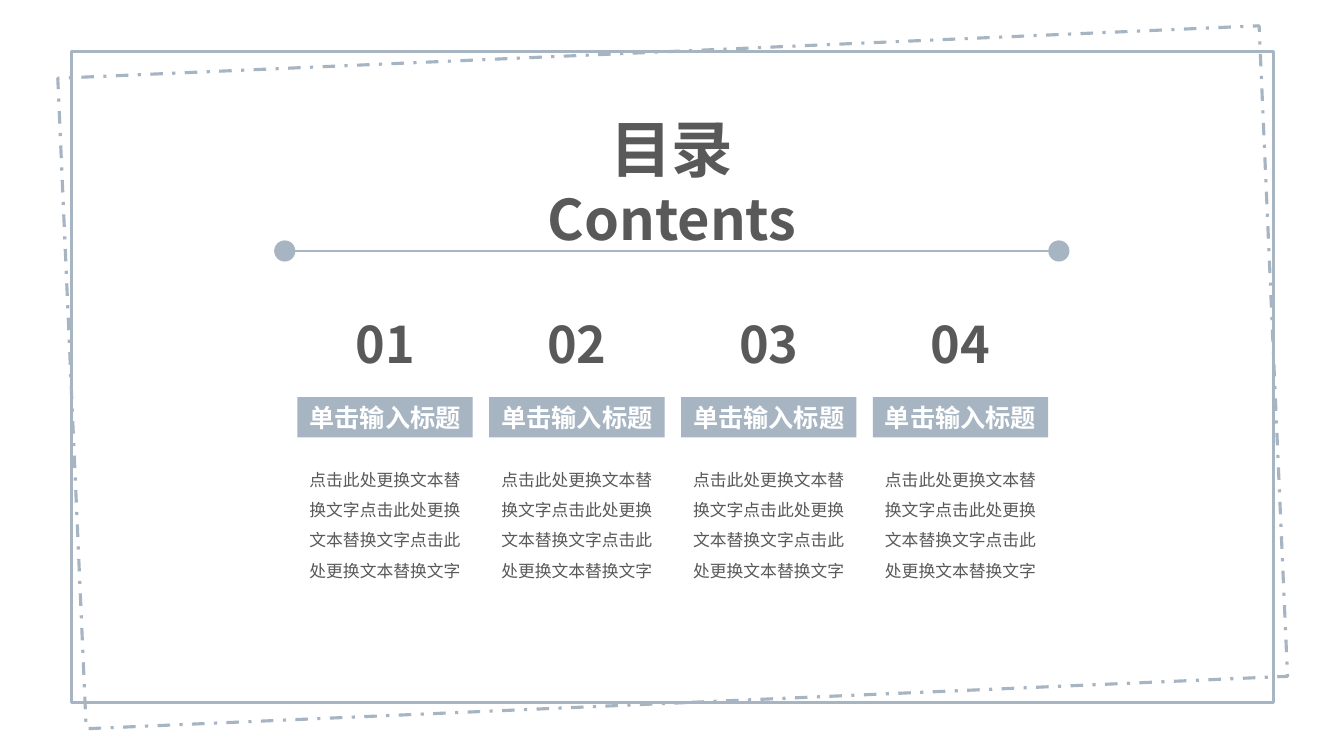
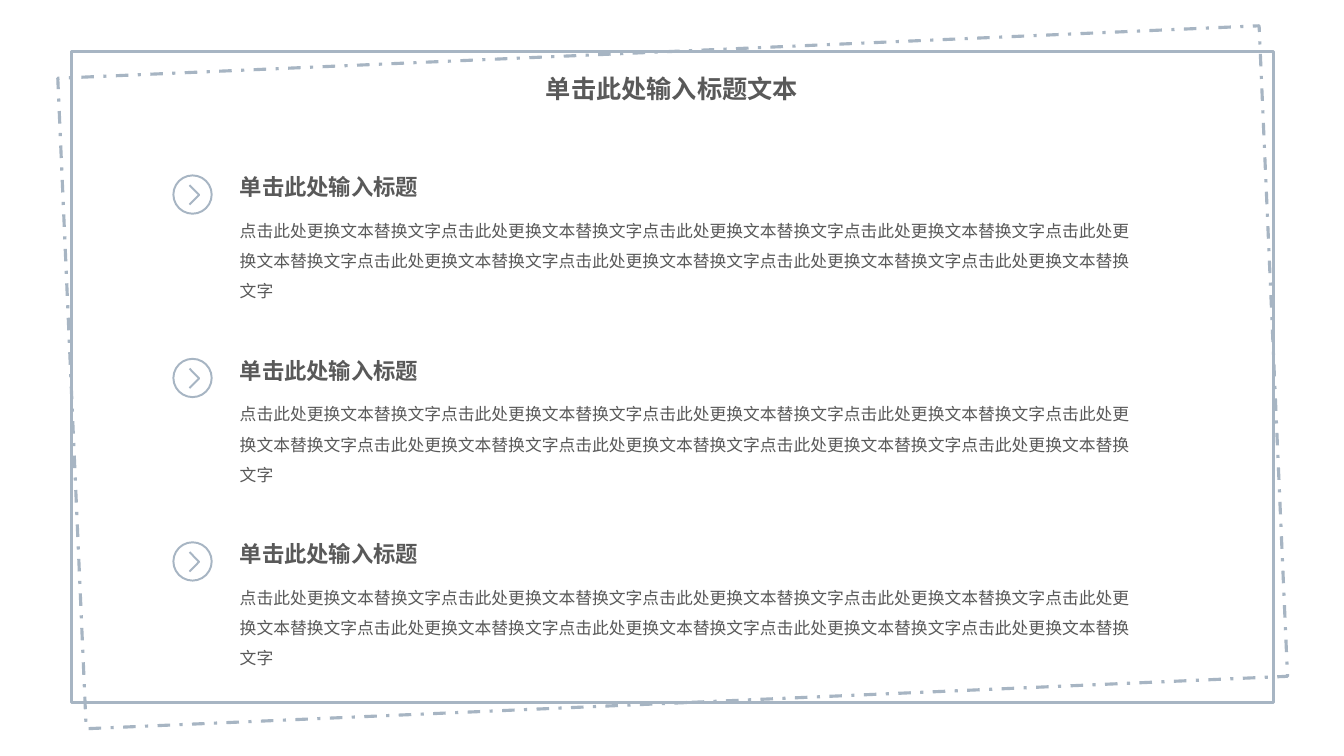
from lxml import etree
from pptx import Presentation
from pptx.dml.color import RGBColor
from pptx.enum.dml import MSO_LINE
from pptx.enum.shapes import MSO_CONNECTOR, MSO_SHAPE
from pptx.enum.text import MSO_ANCHOR, MSO_AUTO_SIZE, PP_ALIGN
from pptx.oxml.ns import qn
from pptx.util import Inches, Pt

RECT, OVAL = MSO_SHAPE.RECTANGLE, MSO_SHAPE.OVAL
STRAIGHT = MSO_CONNECTOR.STRAIGHT
DASH_DOT = MSO_LINE.DASH_DOT
LEFT, CENTER = PP_ALIGN.LEFT, PP_ALIGN.CENTER
TOP, NO_FIT = MSO_ANCHOR.TOP, MSO_AUTO_SIZE.NONE

FONT = "Noto Sans CJK SC"
COLORS = {"accent": "A7B5C3", "text": "595959", "white": "FFFFFF"}

# The grid has square cells, six to the inch.
COLS, ROWS = 80, 45
CELL = Inches(1) // 6

FILLER = "点击此处更换文本替换文字"


def cells(*lengths):
    return [round(n * CELL) for n in lengths]


def color(name):
    return RGBColor.from_string(COLORS[name])


def write(tf, *runs, size=12, ink="text", bold=False, align=LEFT,
          spacing=None, wrap=True):
    """Fill a text frame with one paragraph; a run is text or (text, size)."""
    tf.word_wrap = wrap
    tf.auto_size = NO_FIT
    tf.vertical_anchor = TOP
    p = tf.paragraphs[0]
    p.alignment = align
    if spacing:
        p.line_spacing = spacing
    for run in runs:
        text, points = run if isinstance(run, tuple) else (run, size)
        r = p.add_run()
        r.text = text
        r.font.size = Pt(points)
        r.font.bold = bold
        r.font.color.rgb = color(ink)
        r.font.name = FONT
        etree.SubElement(r._r.get_or_add_rPr(), qn("a:ea"), typeface=FONT)


class Deck:
    """Holds the presentation, its style and the current slide."""

    def __init__(self):
        self.prs = Presentation()
        self.prs.slide_width, self.prs.slide_height = cells(COLS, ROWS)
        self.layout = self.prs.slide_layouts.get_by_name("Title Only")
        self.s = None

    def new_slide(self, *title, top, width, height, size=18):
        self.s = self.prs.slides.add_slide(self.layout)
        sp = self.s.shapes.title
        sp.left, sp.top, sp.width, sp.height = cells(
            (COLS - width) / 2, top, width, height)
        write(sp.text_frame, *title, size=size, bold=True, align=CENTER)

    def style(self, sp, fill=None, line=None):
        """Set fill colour and line width, and drop the shadow."""
        sp.shadow.inherit = False
        if fill:
            sp.fill.solid()
            sp.fill.fore_color.rgb = color(fill)
        else:
            sp.fill.background()
        if line:
            sp.line.width = Pt(line)
            sp.line.color.rgb = color("accent")
        else:
            sp.line.fill.background()
        return sp

    def shape(self, kind, x, y, w, h, fill=None, line=None):
        sp = self.s.shapes.add_shape(kind, *cells(x, y, w, h))
        return self.style(sp, fill, line)

    def text(self, x, y, w, h, text, **fmt):
        sp = self.s.shapes.add_textbox(*cells(x, y, w, h))
        write(sp.text_frame, text, **fmt)

    def label(self, x, y, w, h, text, **fmt):
        sp = self.shape(RECT, x, y, w, h, fill="accent")
        write(sp.text_frame, text, ink="white", **fmt)

    def rule(self, x1, x2, y, dot):
        """Draw a horizontal line with a dot at each end."""
        line = self.s.shapes.add_connector(STRAIGHT, *cells(x1, y, x2, y))
        line.line.width = Pt(1.75)
        line.line.color.rgb = color("accent")
        etree.SubElement(line.element.spPr, qn("a:effectLst"))
        for x in (x1, x2 - dot):
            self.shape(OVAL, x, y - dot / 2, dot, dot, fill="accent")

    def arrow_icon(self, x, y):
        """Draw a ring around a chevron that points right."""
        self.shape(OVAL, x + 0.06, y + 0.06, 2.28, 2.28, line=1.4)
        points = [tuple(cells(x + dx, y + dy))
                  for dx, dy in ((1.02, 0.64), (1.59, 1.22), (1.02, 1.8))]
        path = self.s.shapes.build_freeform(*points[0])
        path.add_line_segments(points[1:], close=False)
        self.style(path.convert_to_shape(), line=1.4)

    def frame_layout(self):
        """Move a double frame from the current slide to the layout."""
        box = (4.25, 3.08, 71.58, 38.76)
        tilted = self.shape(RECT, *box, line=2.25)
        tilted.rotation = 357.5
        tilted.line.dash_style = DASH_DOT
        straight = self.shape(RECT, *box, line=2.25)
        tree = self.layout.element.cSld.spTree
        for number, sp in enumerate((tilted, straight), 101):
            sp.element.nvSpPr.cNvPr.set("id", str(number))
            tree.append(sp.element)


def contents_slide(deck):
    deck.new_slide(("目录 ", 44), ("Contents", 40),
                   top=6.3, width=20.34, height=9.06)
    deck.frame_layout()
    deck.rule(16.32, 63.66, y=14.94, dot=1.26)
    left, pitch, width = 17.7, 11.42, 10.44
    for i in range(4):
        x = left + i * pitch
        deck.text(x, 18.36, width, 4.26, f"{i + 1:02}",
                  size=36, bold=True, align=CENTER)
        deck.label(x, 23.64, width, 2.4, "单击输入标题",
                   size=18, bold=True, align=CENTER)
        deck.text(x, 27.06, width, 7.86, FILLER * 3,
                  align=CENTER, spacing=1.5)


def list_slide(deck):
    deck.new_slide("单击此处输入标题文本", top=4.08, width=16.38, height=2.4)
    top, pitch, x = 10.02, 10.92, 13.68
    for i in range(3):
        y = top + i * pitch
        deck.arrow_icon(10.26, y + 0.36)
        deck.text(x, y, 11.88, 2.22, "单击此处输入标题",
                  size=16, bold=True, wrap=False)
        deck.text(x, y + 2.22, 54.72, 6.06, FILLER * 9, spacing=1.5)


def main():
    deck = Deck()
    contents_slide(deck)
    list_slide(deck)
    deck.prs.save("out.pptx")


if __name__ == "__main__":
    main()
